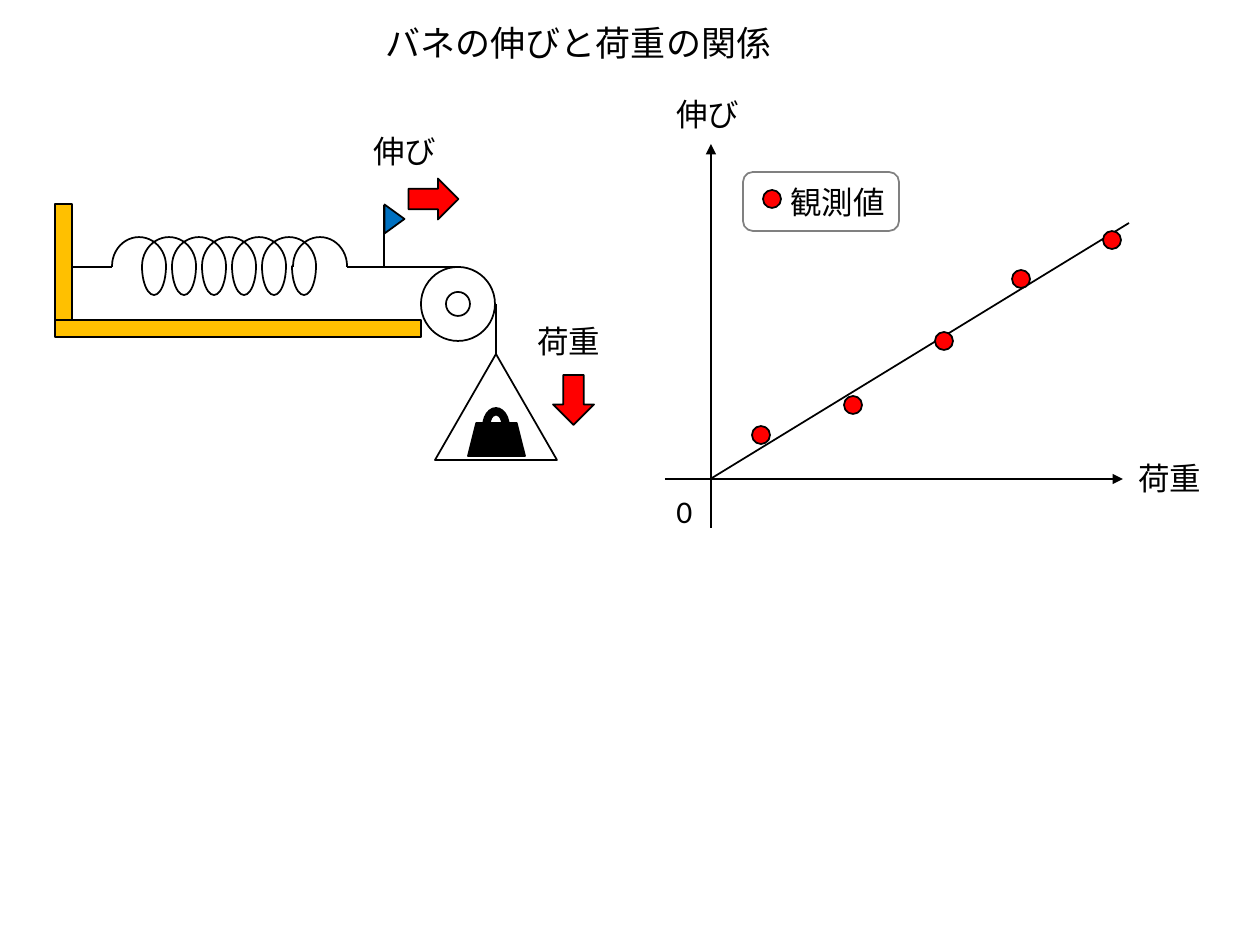
from pptx import Presentation
from pptx.dml.color import RGBColor
from pptx.enum.shapes import MSO_CONNECTOR, MSO_SHAPE
from pptx.enum.text import MSO_ANCHOR, MSO_AUTO_SIZE, PP_ALIGN
from pptx.oxml.ns import qn
from pptx.util import Pt
from lxml.etree import SubElement

SCALE = 914400 / 126
FONT = "Calibri"
HEX = {"black": "000000", "red": "FF0000", "gold": "FFC000",
       "blue": "0070C0", "grey": "808080"}


def px(*sizes):
    """Turn pixel lengths into EMU."""
    return [round(size * SCALE) for size in sizes]


def color(name):
    """Look up a named colour."""
    return RGBColor.from_string(HEX[name])


def add_form(slide, kind, box, fill=None, line="black", turn=0, adjust=()):
    """Add an outlined preset shape."""
    form = slide.shapes.add_shape(kind, *px(*box))
    form.shadow.inherit = False
    form.rotation = turn
    for index, value in enumerate(adjust):
        form.adjustments[index] = value
    if fill:
        form.fill.solid()
        form.fill.fore_color.rgb = color(fill)
    else:
        form.fill.background()
    form.line.color.rgb = color(line)
    form.line.width = Pt(1)


def add_line(slide, start, end, arrow=False):
    """Add a straight line, with an arrowhead at its end if asked."""
    line = slide.shapes.add_connector(MSO_CONNECTOR.STRAIGHT, *px(*start, *end))
    line.line.color.rgb = color("black")
    line.line.width = Pt(1)
    if arrow:
        SubElement(line.line._get_or_add_ln(), qn("a:tailEnd"), type="triangle")
    SubElement(line._element.spPr, qn("a:effectLst"))


def set_text(shape, text, size):
    """Write one unwrapped line of text from the top left."""
    frame = shape.text_frame
    frame.text = text
    frame.word_wrap = False
    frame.auto_size = MSO_AUTO_SIZE.NONE
    frame.vertical_anchor = MSO_ANCHOR.TOP
    para = frame.paragraphs[0]
    para.alignment = PP_ALIGN.LEFT
    para.font.size = Pt(size)
    para.font.name = FONT
    para.font.color.rgb = color("black")


def add_label(slide, text, left, top, width):
    """Add a short label."""
    set_text(slide.shapes.add_textbox(*px(left, top, width, 51)), text, 18)


def add_dot(slide, x, y):
    """Add a data point centred on x and y."""
    add_form(slide, MSO_SHAPE.OVAL, (x - 9, y - 9, 18, 18), "red")


def draw_spring(slide):
    """Draw the coil from seven upper and six lower half loops."""
    for count, left, top, height, turn in ((7, 110, 239, 54, 270),
                                           (6, 125, 254, 24, 90)):
        for index in range(count):
            box = (left + index * 181 // 6, top, 58, height)
            add_form(slide, MSO_SHAPE.ARC, box, turn=turn, adjust=(161, 55))
    for start, end in ((72, 112), (347, 387)):
        add_line(slide, (start, 267), (end, 267))


def draw_rig(slide):
    """Draw the stand, spring, pulley, weight and flag."""
    add_form(slide, MSO_SHAPE.RECTANGLE, (55, 204, 17, 116), "gold")
    add_form(slide, MSO_SHAPE.RECTANGLE, (55, 320, 366, 17), "gold")
    draw_spring(slide)
    for radius in (37, 12):
        side = 2 * radius
        box = (458 - radius, 304 - radius, side, side)
        add_form(slide, MSO_SHAPE.OVAL, box)
    add_line(slide, (387, 267), (458, 267))
    add_line(slide, (496, 304), (496, 354))
    add_form(slide, MSO_SHAPE.ISOSCELES_TRIANGLE, (435, 354, 122, 106))
    add_form(slide, MSO_SHAPE.TRAPEZOID, (468, 423, 57, 33), "black")
    add_form(slide, MSO_SHAPE.BLOCK_ARC, (483, 408, 26, 37), "black")
    add_line(slide, (384, 267), (384, 205))
    add_form(slide, MSO_SHAPE.ISOSCELES_TRIANGLE, (380, 209, 29, 20), "blue", turn=90)
    add_form(slide, MSO_SHAPE.DOWN_ARROW, (413, 174, 41, 50), "red", turn=270)
    add_form(slide, MSO_SHAPE.DOWN_ARROW, (553, 375, 41, 50), "red")
    add_label(slide, "伸び", 361, 126, 89)
    add_label(slide, "荷重", 525, 316, 89)


def draw_graph(slide):
    """Draw the axes, fitted line, data points and legend."""
    add_line(slide, (711, 528), (711, 144), True)
    add_line(slide, (665, 479), (1123, 479), True)
    add_label(slide, "0", 664, 486, 42)
    add_label(slide, "荷重", 1126, 453, 89)
    add_label(slide, "伸び", 664, 89, 89)
    add_line(slide, (712, 478), (1129, 223))
    for x, y in ((761, 435), (853, 405), (944, 341), (1021, 279), (1112, 240)):
        add_dot(slide, x, y)
    add_dot(slide, 772, 199)
    add_label(slide, "観測値", 778, 177, 121)
    add_form(slide, MSO_SHAPE.ROUNDED_RECTANGLE, (743, 172, 156, 59), line="grey")


def main():
    """Build and save the slide."""
    deck = Presentation()
    deck.slide_width, deck.slide_height = px(1260, 945)
    slide = deck.slides.add_slide(deck.slide_layouts[5])
    title = slide.shapes.title
    title.left, title.top, title.width, title.height = px(373, 15, 415, 55)
    set_text(title, "バネの伸びと荷重の関係", 20)
    draw_rig(slide)
    draw_graph(slide)
    deck.save("out.pptx")


if __name__ == "__main__":
    main()
